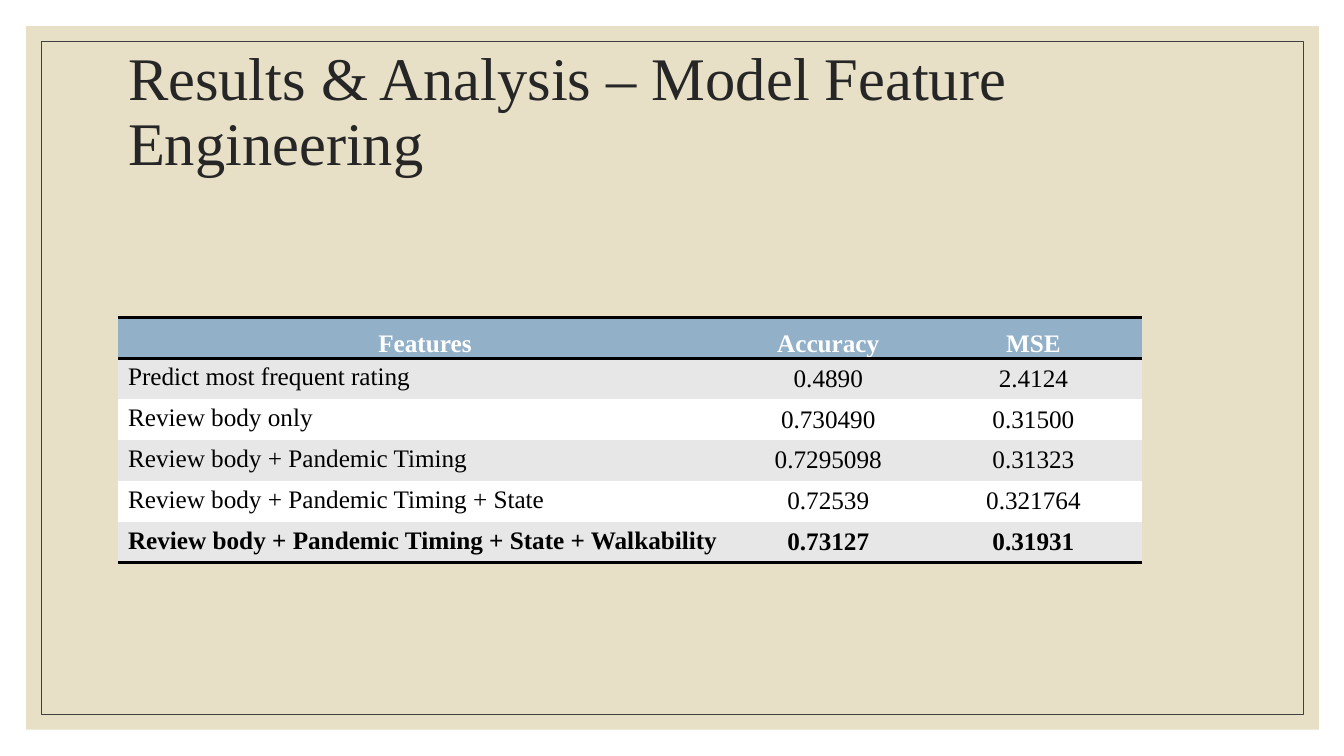
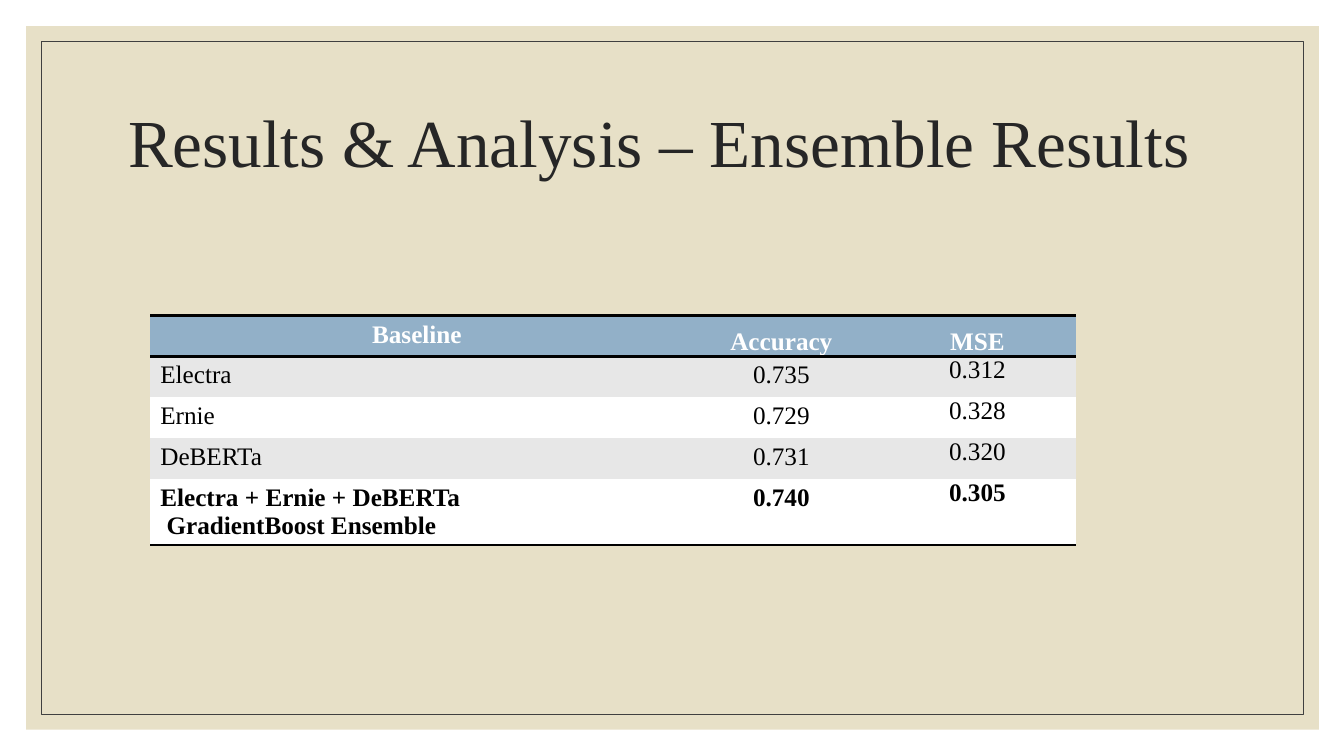
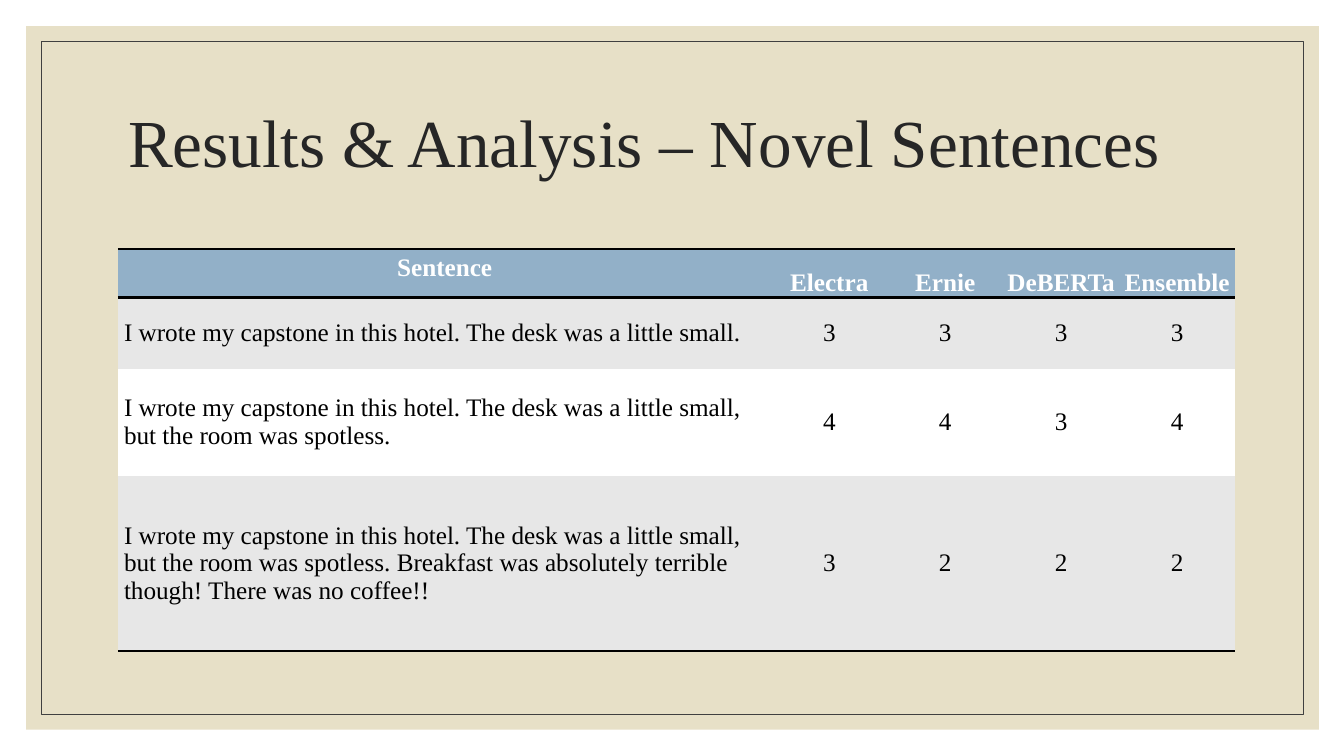
"""Build three results slides, each with a title and a ruled table."""
from dataclasses import dataclass
from typing import NamedTuple

from lxml import etree
from pptx import Presentation
from pptx import util as u
from pptx.dml.color import RGBColor
from pptx.enum import shapes, text
from pptx.oxml import ns

FONT = "Times New Roman"
PAPER, SAND, RULE, INK = "FFFFFF", "E7E0C7", "404040", "262626"
HEADER, BAND, BLACK = "92B0C8", "E7E7E7", "000000"
NO_GRID_STYLE = "{2D5ABB26-0587-4C30-8999-92F81FD0307C}"
ROW = 2.43 / 6


class CellStyle(NamedTuple):
    """Alignment, anchor and left, top, right, bottom insets of a cell."""
    align: text.PP_ALIGN = text.PP_ALIGN.CENTER
    anchor: text.MSO_ANCHOR = text.MSO_ANCHOR.TOP
    insets: tuple[float, float, float, float] = (0.1, 0.05, 0.1, 0.05)


MIDDLE = text.MSO_ANCHOR.MIDDLE
TIGHT, SNUG = (0, 0, 0, 0), (0.06, 0.01, 0.06, 0.01)
LOW_HEADING = CellStyle(anchor=text.MSO_ANCHOR.BOTTOM, insets=(0.01, 0.01, 0.01, 0))
CENTRED = CellStyle()
LABEL = CellStyle(text.PP_ALIGN.LEFT)
SENTENCE = CellStyle(text.PP_ALIGN.LEFT, MIDDLE, SNUG)


@dataclass
class Results:
    """One slide: its title, its table and the style of each column."""
    title: str
    left: float
    top: float
    widths: list[float]
    heights: list[float]
    rows: list[list[str]]
    heading_styles: list[CellStyle]
    body_styles: list[CellStyle]
    best_last: bool = True
    title_size: float = 48
    title_width: float = 11
    title_bottom_inset: float = 0.05


RESULTS = [
    Results(
        "Results & Analysis – Model Feature Engineering",
        1.17, 3.15, [6.09, 1.91, 2.16], [ROW] * 6,
        [["Features", "Accuracy", "MSE"],
         ["Predict most frequent rating", "0.4890", "2.4124"],
         ["Review body only", "0.730490", "0.31500"],
         ["Review body + Pandemic Timing", "0.7295098", "0.31323"],
         ["Review body + Pandemic Timing + State", "0.72539", "0.321764"],
         ["Review body + Pandemic Timing + State + Walkability", "0.73127", "0.31931"]],
        [LOW_HEADING] * 3,
        [LABEL, CellStyle(anchor=MIDDLE), CellStyle(anchor=MIDDLE, insets=TIGHT)],
        title_size=43.2, title_width=11.53, title_bottom_inset=0.7),
    Results(
        "Results & Analysis – Ensemble Results",
        1.49, 3.13, [5.29, 1.94, 1.95], [ROW] * 4 + [0.66],
        [["Baseline", "Accuracy", "MSE"],
         ["Electra", "0.735", "0.312"],
         ["Ernie", "0.729", "0.328"],
         ["DeBERTa", "0.731", "0.320"],
         ["Electra + Ernie + DeBERTa\n GradientBoost Ensemble", "0.740", "0.305"]],
        [CENTRED, LOW_HEADING, LOW_HEADING],
        [LABEL, CENTRED, CellStyle(insets=TIGHT)]),
    Results(
        "Results & Analysis – Novel Sentences",
        1.17, 2.47, [6.48] + [1.15] * 4, [0.48, 0.71, 1.06, 1.74],
        [["Sentence", "Electra", "Ernie", "DeBERTa", "Ensemble"],
         ["I wrote my capstone in this hotel. The desk was a little small.",
          "3", "3", "3", "3"],
         ["I wrote my capstone in this hotel. The desk was a little small, "
          "but the room was spotless.", "4", "4", "3", "4"],
         ["I wrote my capstone in this hotel. The desk was a little small, "
          "but the room was spotless. Breakfast was absolutely terrible though! "
          "There was no coffee!!", "3", "2", "2", "2"]],
        [CENTRED] + [LOW_HEADING] * 4,
        [SENTENCE] + [CellStyle(anchor=MIDDLE, insets=SNUG)] * 4,
        best_last=False),
]


def paint(target, colour: str) -> None:
    """Give a fill a solid colour."""
    target.solid()
    target.fore_color.rgb = RGBColor.from_string(colour)


def format_runs(frame, size: float, colour: str, bold: bool = False) -> None:
    """Set the font of every run in a text frame."""
    for paragraph in frame.paragraphs:
        for run in paragraph.runs:
            run.font.name, run.font.size, run.font.bold = FONT, u.Pt(size), bold
            paint(run.font.fill, colour)


def set_insets(holder, insets: tuple[float, float, float, float]) -> None:
    """Set the insets of a cell or a text frame."""
    (holder.margin_left, holder.margin_top,
     holder.margin_right, holder.margin_bottom) = map(u.Inches, insets)


def add_frame(prs, slide) -> None:
    """Put the sand panel and its thin inner frame on the slide master."""
    master = prs.slide_master
    paint(master.background.fill, PAPER)
    boxes = [(0.26, 0.26, 12.82, 6.98), (0.41, 0.41, 12.52, 6.68)]
    panel, outline = (
        slide.shapes.add_shape(shapes.MSO_SHAPE.RECTANGLE, *map(u.Inches, box))
        for box in boxes)
    paint(panel.fill, SAND)
    panel.line.fill.background()
    outline.fill.background()
    paint(outline.line.fill, RULE)
    outline.line.width = u.Pt(0.5)
    for order, part in enumerate((panel, outline)):
        part.shadow.inherit = False
        part.element.nvSpPr.cNvPr.set("id", str(20 + order))
        master.shapes.element.insert(2 + order, part.element)


def add_title(slide, results: Results) -> None:
    """Fill and place the title placeholder."""
    title = slide.shapes.title
    title.left, title.top, title.width, title.height = map(
        u.Inches, (1.17, 0.7, results.title_width, 1.5))
    frame = title.text_frame
    frame.text = results.title
    frame.word_wrap = True
    frame.auto_size = text.MSO_AUTO_SIZE.NONE
    frame.vertical_anchor = MIDDLE
    set_insets(frame, (0.1, 0.05, 0.1, results.title_bottom_inset))
    frame.paragraphs[0].alignment = text.PP_ALIGN.LEFT
    frame.paragraphs[0].line_spacing = 0.9
    format_runs(frame, results.title_size, INK)


def add_rules(cell, sides: list[str]) -> None:
    """Draw black 2 pt borders on the given sides of a filled cell."""
    properties = cell._tc.get_or_add_tcPr()
    for order, side in enumerate(sides):
        line = etree.Element(ns.qn(f"a:ln{side}"), w=str(u.Pt(2)))
        fill = etree.SubElement(line, ns.qn("a:solidFill"))
        etree.SubElement(fill, ns.qn("a:srgbClr"), val=BLACK)
        properties.insert(order, line)


def fill_cell(cell, words: str, style: CellStyle, fill: str, ink: str, bold: bool) -> None:
    """Write and format one table cell."""
    frame = cell.text_frame
    frame.text = words
    for paragraph in frame.paragraphs:
        paragraph.alignment = style.align
    format_runs(frame, 18, ink, bold)
    cell.vertical_anchor = style.anchor
    set_insets(cell, style.insets)
    paint(cell.fill, fill)


def add_results_table(slide, results: Results) -> None:
    """Draw the table with a coloured header, banded rows and black rules."""
    last = len(results.rows) - 1
    holder = slide.shapes.add_table(
        last + 1, len(results.widths), u.Inches(results.left), u.Inches(results.top),
        u.Inches(sum(results.widths)), u.Inches(sum(results.heights)))
    holder.element.xpath(".//a:tableStyleId")[0].text = NO_GRID_STYLE
    table = holder.table
    table.horz_banding = False
    for column, width in zip(table.columns, results.widths):
        column.width = u.Inches(width)
    for row, height in zip(table.rows, results.heights):
        row.height = u.Inches(height)
    for r, row in enumerate(results.rows):
        heading = r == 0
        styles = results.heading_styles if heading else results.body_styles
        fill = HEADER if heading else (BAND if r % 2 else PAPER)
        bold = heading or (results.best_last and r == last)
        for c, (words, style) in enumerate(zip(row, styles)):
            cell = table.cell(r, c)
            fill_cell(cell, words, style, fill, PAPER if heading else BLACK, bold)
            if heading:
                add_rules(cell, ["T", "B"])
            elif r == last:
                add_rules(cell, ["B"])


def main() -> None:
    """Build and save the presentation."""
    prs = Presentation()
    prs.slide_width, prs.slide_height = u.Inches(13.33), u.Inches(7.5)
    title_only = prs.slide_layouts[5]
    for number, results in enumerate(RESULTS):
        slide = prs.slides.add_slide(title_only)
        if number == 0:
            add_frame(prs, slide)
        add_title(slide, results)
        add_results_table(slide, results)
    prs.save("out.pptx")


if __name__ == "__main__":
    main()
